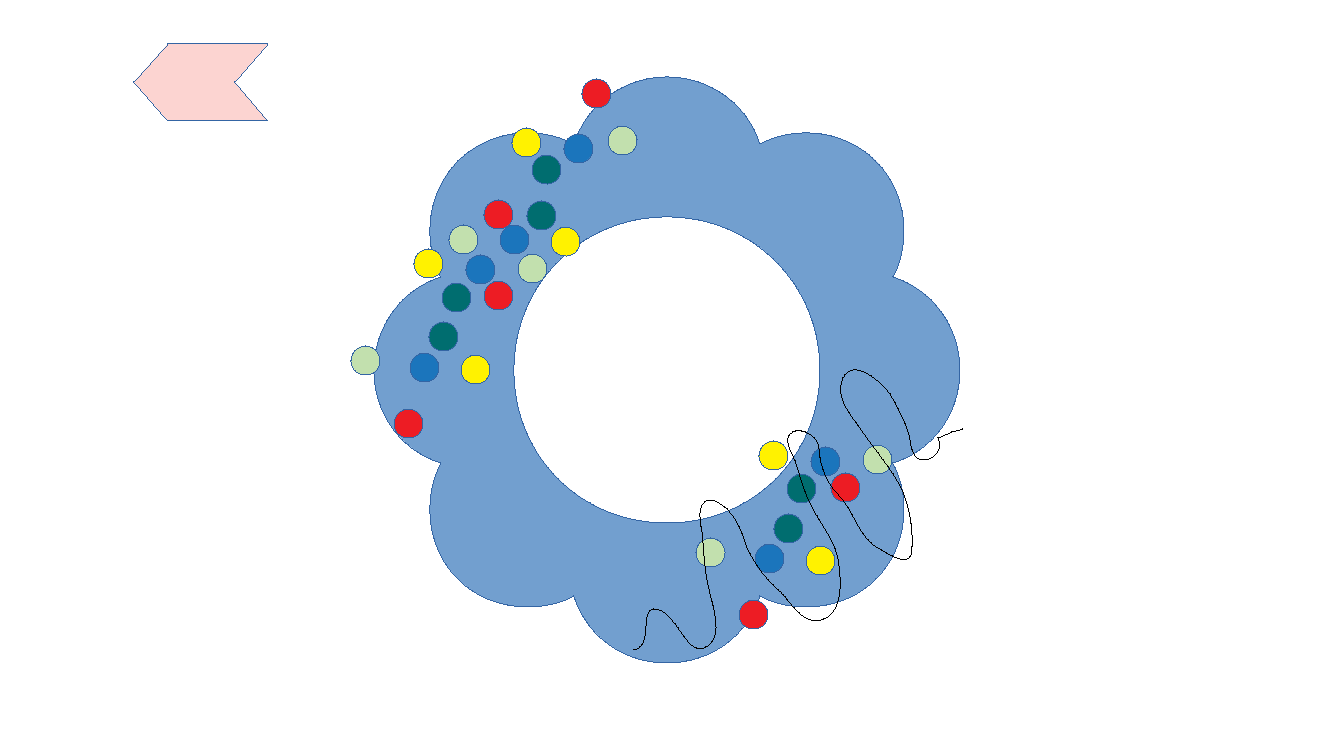
from lxml import etree
from pptx import Presentation
from pptx.dml.color import RGBColor
from pptx.enum.shapes import MSO_SHAPE
from pptx.oxml.ns import qn
from pptx.util import Emu

OVAL = MSO_SHAPE.OVAL
SCALE = 7495
RED, BLUE, YELLOW = "ED1C24", "1B75BC", "FFF200"
GREEN, LIGHT = "006D6F", "C2E0AE"
PETAL_FILL, ARROW_FILL = "729FCF", "FCD4D1"
EDGE, BLACK = "3465A4", "000000"

DOT_SIZE = 29
FALLING = {RED: (0, 0), BLUE: (-18, 55), YELLOW: (-70, 49),
           GREEN: (-55, 122), LIGHT: (-133, 146)}
RISING = {RED: (0, 0), BLUE: (16, -56), YELLOW: (67, -54),
          GREEN: (48, -126), LIGHT: (124, -155)}
CLUSTERS = [
    (FALLING, 28.3, (484, 200), (0, 0)),
    (FALLING, 28.3, (582, 79), (0, 0)),
    (RISING, 204.8, (484, 281), (0, 0)),
    (RISING, 204.8, (394, 409), (0, 0)),
    (FALLING, 28.3, (829, 392), (2, 81)),
    (RISING, 204.8, (739, 600), (0, 0)),
]

CENTER = (667, 370)
FLOWER_BOX = (374, 77, 960, 663)
HOLE_START = (0, -153)
HOLE_QUARTER = [((-86, -153), (-153, -86), (-153, 0))]
PETAL_START = (-293, 0)
PETAL_QUARTER = [
    ((-293, -44), (-265, -81), (-226, -93)),
    ((-233, -106), (-237, -122), (-237, -139)),
    ((-237, -195), (-195, -237), (-139, -237)),
    ((-122, -237), (-106, -233), (-93, -226)),
    ((-81, -265), (-44, -293), (0, -293)),
]

ARROW_BOX = (134, 44, 268, 121)
ARROW_START = (268, 44)
ARROW_LINES = [((168, 44),), ((134, 82),), ((168, 121),),
               ((268, 121),), ((235, 82),)]

THREAD_BOX = (634, 370, 963, 650)
THREAD_START = (634, 650)
THREAD_CURVES = [
    ((654, 645), (639, 610), (654, 609)),
    ((676, 608), (687, 659), (706, 647)),
    ((725, 636), (712, 605), (708, 584)),
    ((704, 567), (704, 549), (702, 531)),
    ((700, 522), (695, 495), (715, 501)),
    ((734, 509), (741, 529), (747, 547)),
    ((755, 565), (767, 580), (781, 592)),
    ((792, 604), (805, 627), (824, 619)),
    ((843, 610), (841, 582), (839, 565)),
    ((837, 542), (821, 525), (811, 505)),
    ((802, 488), (799, 468), (791, 451)),
    ((776, 423), (817, 426), (819, 448)),
    ((820, 465), (826, 482), (838, 494)),
    ((854, 510), (858, 536), (878, 548)),
    ((885, 551), (913, 573), (912, 547)),
    ((913, 526), (909, 506), (902, 489)),
    ((891, 468), (876, 451), (863, 432)),
    ((852, 416), (834, 397), (843, 378)),
    ((852, 357), (883, 381), (892, 397)),
    ((900, 412), (909, 428), (911, 445)),
    ((915, 473), (947, 456), (938, 438)),
    ((952, 432),),
    ((963, 429),),
]


def px(value):
    return Emu(round(value * SCALE))


def color(value):
    return RGBColor.from_string(value)


def full_turn(start, quarter, direction):
    def place(point):
        return CENTER[0] + point[0], CENTER[1] + point[1]

    segments = []
    turned = quarter
    for _ in range(4):
        segments += [tuple(map(place, segment)) for segment in turned]
        turned = [tuple((-direction * y, direction * x) for x, y in segment)
                  for segment in turned]
    return place(start), segments


class Page:
    outline = {"w": "0"}

    def __init__(self, deck):
        self.shapes = deck.slides.add_slide(deck.slide_layouts[6]).shapes

    def style(self, shape, fill, line):
        shape.shadow.inherit = False
        if fill:
            shape.fill.solid()
            shape.fill.fore_color.rgb = color(fill)
        else:
            shape.fill.background()
        shape.line.color.rgb = color(line)
        stroke = shape._element.spPr.find(qn("a:ln"))
        for name, value in self.outline.items():
            stroke.set(name, value)

    def dot(self, left, top, fill, rotation):
        shape = self.shapes.add_shape(
            OVAL, px(left), px(top), px(DOT_SIZE), px(DOT_SIZE))
        shape.rotation = rotation
        self.style(shape, fill, EDGE)

    def cluster(self, pattern, rotation, origin, red_shift):
        for fill, offset in pattern.items():
            shift = red_shift if fill == RED else (0, 0)
            left, top = (sum(parts) for parts in zip(origin, offset, shift))
            self.dot(left, top, fill, rotation)

    def curve(self, box, contours, fill, line, close=True):
        left, top, right, bottom = map(px, box)
        builder = self.shapes.build_freeform(left, top, scale=1.0)
        builder.add_line_segments([(right, bottom)], close=False)
        shape = builder.convert_to_shape()
        track = shape._element.find(".//" + qn("a:path"))
        for child in list(track):
            track.remove(child)

        def command(name, points):
            element = etree.SubElement(track, qn(name))
            for x, y in points:
                etree.SubElement(element, qn("a:pt"),
                                 x=str(px(x) - left), y=str(px(y) - top))

        for start, segments in contours:
            command("a:moveTo", [start])
            for segment in segments:
                name = "a:cubicBezTo" if len(segment) == 3 else "a:lnTo"
                command(name, segment)
            if close:
                command("a:close", [])
        self.style(shape, fill, line)


def main():
    deck = Presentation()
    deck.slide_width, deck.slide_height = px(1344), px(756)
    page = Page(deck)
    hole = full_turn(HOLE_START, HOLE_QUARTER, -1)
    petals = full_turn(PETAL_START, PETAL_QUARTER, 1)
    page.curve(FLOWER_BOX, [hole, petals], PETAL_FILL, EDGE)
    for cluster in CLUSTERS:
        page.cluster(*cluster)
    page.curve(THREAD_BOX, [(THREAD_START, THREAD_CURVES)], None, BLACK,
               close=False)
    page.curve(ARROW_BOX, [(ARROW_START, ARROW_LINES)], ARROW_FILL, EDGE)
    deck.save("out.pptx")


if __name__ == "__main__":
    main()
